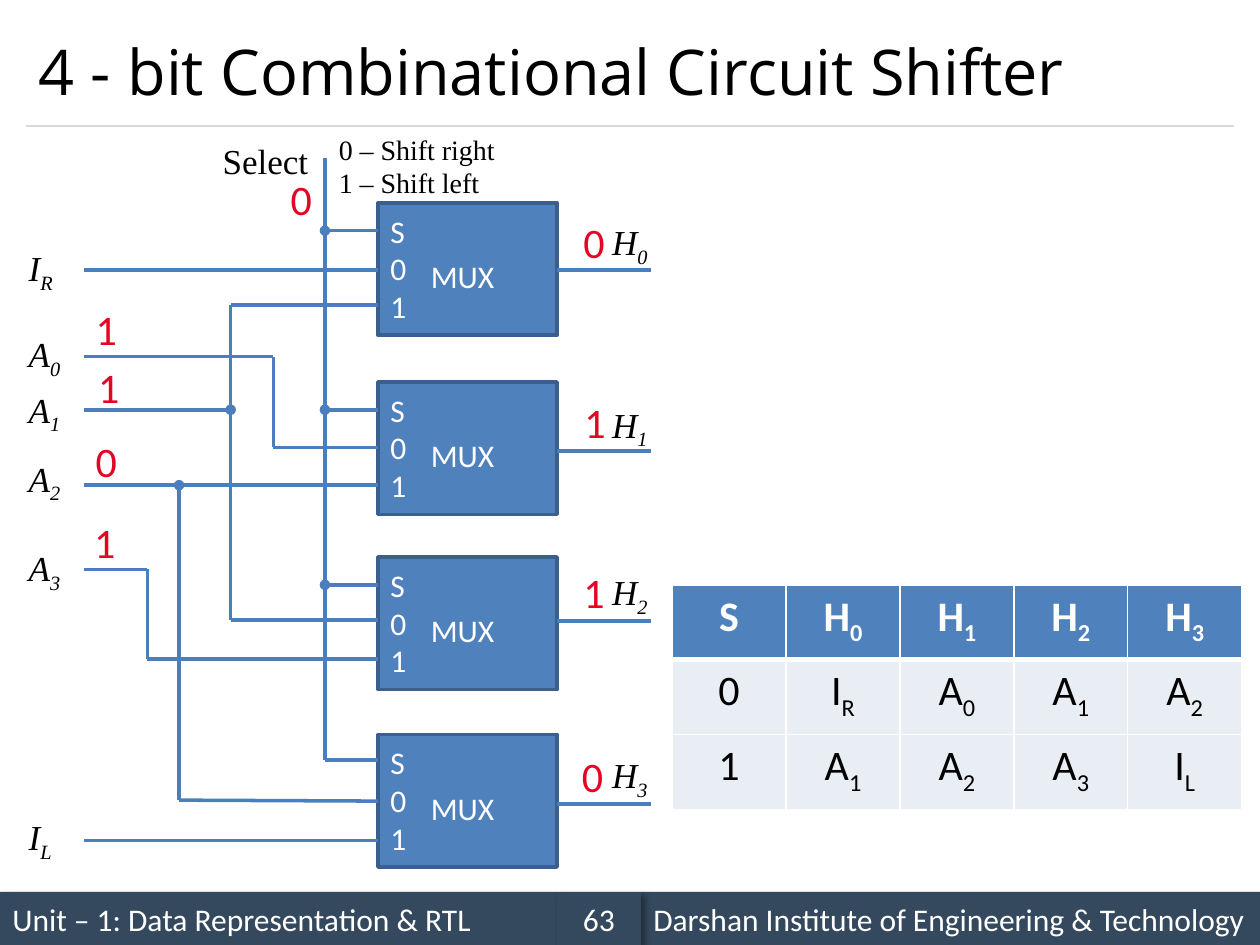
from itertools import pairwise

from lxml import etree
from pptx import Presentation
from pptx import util as u
from pptx.dml import color
from pptx.enum import shapes, text
from pptx.oxml import ns

WHITE, BLACK, RED = "FFFFFF", "000000", "E40524"
BLUE, BLUE_EDGE, WIRE, NAVY = "4F81BD", "3A5F8C", "4B7EBC", "34495E"
LEFT, CENTER = text.PP_ALIGN.LEFT, text.PP_ALIGN.CENTER
MIDDLE = text.MSO_ANCHOR.MIDDLE
CAPTION = {"size": u.Pt(18), "name": "Calibri", "color": WHITE}
SIGNAL = {"size": u.Pt(20), "name": "Times New Roman", "color": BLACK, "italic": True}
PLAIN = {**SIGNAL, "italic": False}
BIT = {"size": u.Pt(24), "name": "Calibri", "color": RED}


def rgb(value):
    return color.RGBColor.from_string(value)


def child(parent, tag, **attributes):
    return etree.SubElement(parent, ns.qn(tag), attributes)


def write(frame, content, style, align=LEFT):
    for index, line in enumerate(content.split("\n")):
        paragraph = frame.paragraphs[0] if index == 0 else frame.add_paragraph()
        paragraph.alignment = align
        for level, piece in enumerate(line.split("_")):
            run = paragraph.add_run()
            run.text = piece
            for key, value in style.items():
                if key == "color":
                    run.font.color.rgb = rgb(value)
                else:
                    setattr(run.font, key, value)
            if level:
                run.font._element.set("baseline", "-25000")


def add_label(slide, box, content, style, align=LEFT, wrap=False, anchor=None):
    frame = slide.shapes.add_textbox(*map(u.Cm, box)).text_frame
    frame.word_wrap = wrap
    if anchor is None:
        frame.auto_size = text.MSO_AUTO_SIZE.SHAPE_TO_FIT_TEXT
    else:
        frame.vertical_anchor = anchor
    write(frame, content, style, align)


def add_block(slide, box, fill, edge=None):
    block = slide.shapes.add_shape(shapes.MSO_SHAPE.RECTANGLE, *map(u.Cm, box))
    block.shadow.inherit = False
    block.fill.solid()
    block.fill.fore_color.rgb = rgb(fill)
    if edge:
        block.line.color.rgb = rgb(edge)
        block.line.width = u.Pt(2)
    else:
        block.line.fill.background()
    return block


def add_line(slide, start, end, stroke, width, dot=False):
    line = slide.shapes.add_connector(
        shapes.MSO_CONNECTOR.STRAIGHT, *map(u.Cm, (*start, *end)))
    line.line.color.rgb = rgb(stroke)
    line.line.width = u.Pt(width)
    if dot:
        child(line.line._get_or_add_ln(), "a:headEnd", type="oval")
    child(line._element.spPr, "a:effectLst")


def add_title(slide, left, top, width, height):
    style = {"size": u.Pt(36), "name": "Open Sans", "color": BLACK}
    add_label(slide, (left, top, width, height),
              "4 - bit Combinational Circuit Shifter", style, wrap=True, anchor=MIDDLE)
    bottom = top + height
    add_line(slide, (left, bottom), (left + width, bottom), "D9D9D9", 0.75)


def add_footer(slide, left, top, width, height):
    unit_width, number_width = 11.23, 1.69
    school_left = unit_width + number_width
    bars = (
        (0, unit_width, "Unit – 1: Data Representation & RTL", LEFT),
        (school_left, width - school_left,
         "Darshan Institute of Engineering & Technology", LEFT),
        (unit_width, number_width, "63", CENTER),
    )
    for offset, bar_width, content, align in bars:
        bar = add_block(slide, (left + offset, top, bar_width, height), NAVY)
        effects = bar._element.spPr.find(ns.qn("a:effectLst"))
        shadow = child(effects, "a:outerShdw", blurRad=str(u.Pt(4)),
                       dist=str(u.Pt(3)), dir="2700000", algn="tl", rotWithShape="0")
        child(child(shadow, "a:srgbClr", val=BLACK), "a:alpha", val="40000")
        bar.text_frame.vertical_anchor = MIDDLE
        bar.text_frame.word_wrap = True
        write(bar.text_frame, content, CAPTION, align)


def add_mux(slide, left, top, width, height):
    add_block(slide, (left, top, width, height), BLUE, BLUE_EDGE)
    add_label(slide, (left, top + 0.05, 0.69, 2.57), "S\n0\n1", CAPTION, CENTER, True)
    add_label(slide, (left - 0.1, top + 0.97, width, 1.07), "MUX", CAPTION, CENTER, True)


def add_circuit(slide, left, top):
    pin, select, mux, mux_right, out = 1.37, 6.22, 7.29, 10.9, 12.8
    for mux_top in (1.55, 5.16, 8.69, 12.27):
        add_mux(slide, left + mux, top + mux_top, mux_right - mux, 2.67)

    wires = [
        ([(select, 0.64), (select, 12.78), (mux, 12.78)], False),
        ([(pin, 4.65), (5.18, 4.65), (5.18, 6.48), (mux, 6.48)], False),
        ([(mux, 3.61), (4.32, 3.61), (4.32, 9.96), (mux, 9.96)], False),
        ([(4.32, 5.72), (pin, 5.72)], True),
        ([(pin, 7.24), (mux, 7.24)], False),
        ([(3.28, 7.24), (3.28, 13.59), (mux, 13.61)], True),
        ([(pin, 8.94), (2.64, 8.94), (2.64, 10.74), (mux, 10.74)], False),
        ([(pin, 2.9), (mux, 2.9)], False),
        ([(pin, 14.4), (mux, 14.4)], False),
    ]
    wires += [([(select, y), (mux, y)], True) for y in (2.11, 5.72, 9.25)]
    wires += [([(mux_right, y), (out, y)], False) for y in (2.9, 6.55, 9.98, 13.67)]
    for points, dotted in wires:
        placed = [(left + x, top + y) for x, y in points]
        for index, (start, end) in enumerate(pairwise(placed)):
            add_line(slide, start, end, WIRE, 2, dotted and index == 0)

    inputs = {"I_R": 2.31, "A_0": 4.04, "A_1": 5.16, "A_2": 6.55, "A_3": 8.36, "I_L": 13.77}
    outputs = {"H_0": 1.78, "H_1": 5.46, "H_2": 8.84, "H_3": 12.52}
    for x, signals in ((0, inputs), (11.76, outputs)):
        for signal, y in signals.items():
            add_label(slide, (left + x, top + y, 1.25, 1.12), signal, SIGNAL)
    add_label(slide, (left + 3.91, top + 0.15, 2.31, 1.12), "Select", PLAIN)
    add_label(slide, (left + 6.25, top, 3.78, 1.63),
              "0 – Shift right\n1 – Shift left", {**PLAIN, "size": u.Pt(16)})

    bits = (
        (5.28, 0.84, "0"), (1.35, 3.45, "1"), (1.4, 4.62, "1"),
        (1.35, 6.12, "0"), (1.32, 7.75, "1"), (11.18, 1.7, "0"),
        (11.2, 5.33, "1"), (11.18, 8.76, "1"), (11.15, 12.47, "0"),
    )
    for x, y, bit in bits:
        add_label(slide, (left + x, top + y, 0.94, 1.27), bit, BIT)


def add_truth_table(slide, left, top, width, height):
    rows = ("S H_0 H_1 H_2 H_3", "0 I_R A_0 A_1 A_2", "1 A_1 A_2 A_3 I_L")
    table = slide.shapes.add_table(
        len(rows), 5, *map(u.Cm, (left, top, width, height))).table
    for row, values in enumerate(rows):
        header = row == 0
        style = {**BIT, "color": WHITE if header else BLACK, "bold": header}
        for column, value in enumerate(values.split()):
            cell = table.cell(row, column)
            borders = {"L": 1, "R": 1, "T": 3 if row == 1 else 1, "B": 3 if header else 1}
            for side, points in borders.items():
                border = child(cell._tc.get_or_add_tcPr(), f"a:ln{side}",
                               w=str(u.Pt(points)))
                child(child(border, "a:solidFill"), "a:srgbClr", val=WHITE)
            cell.fill.solid()
            cell.fill.fore_color.rgb = rgb(BLUE if header else "E9EDF4")
            write(cell.text_frame, value, style, CENTER)


def main():
    deck = Presentation()
    deck.slide_width, deck.slide_height = u.Cm(25.4), u.Cm(19.05)
    slide = deck.slides.add_slide(deck.slide_layouts[6])
    add_footer(slide, 0, 17.98, 25.4, 1.07)
    add_title(slide, 0.53, 0.3, 24.34, 2.24)
    add_circuit(slide, 0.33, 2.54)
    add_truth_table(slide, 13.55, 11.79, 11.48, 4.53)
    deck.save("out.pptx")


if __name__ == "__main__":
    main()
